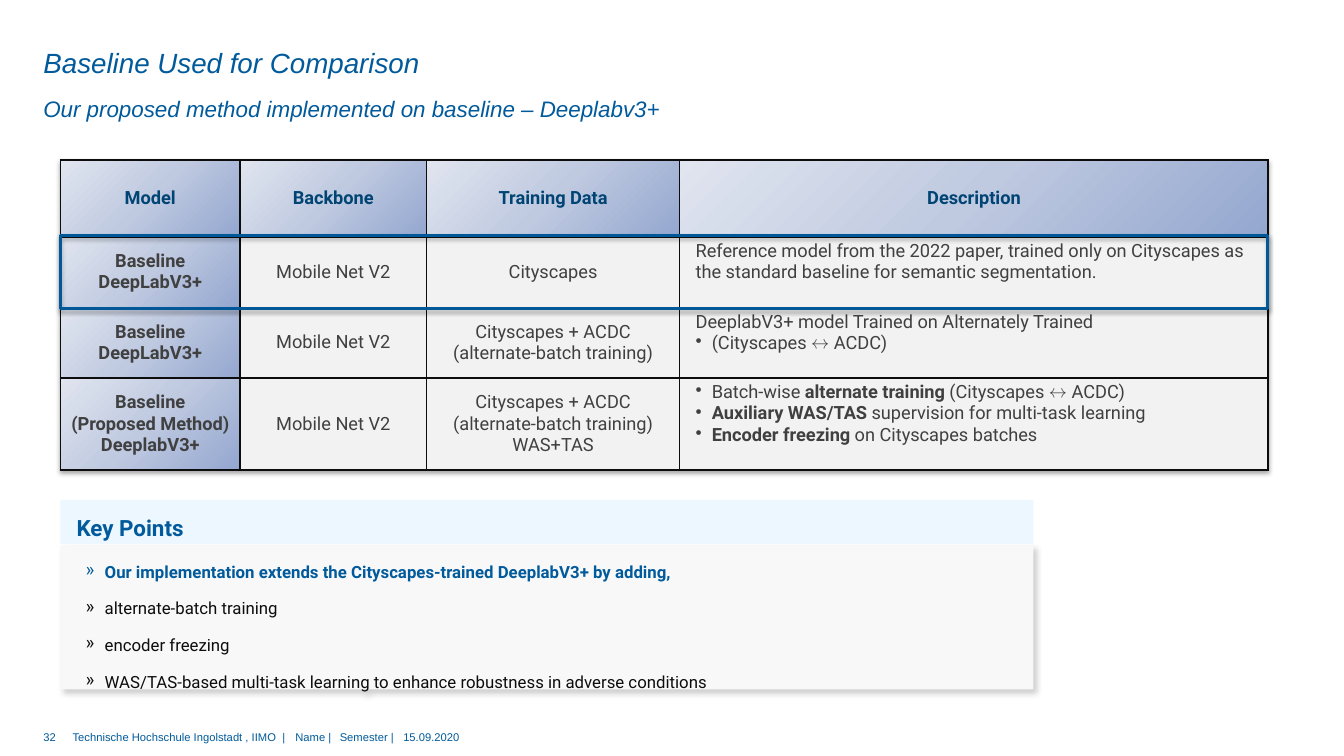
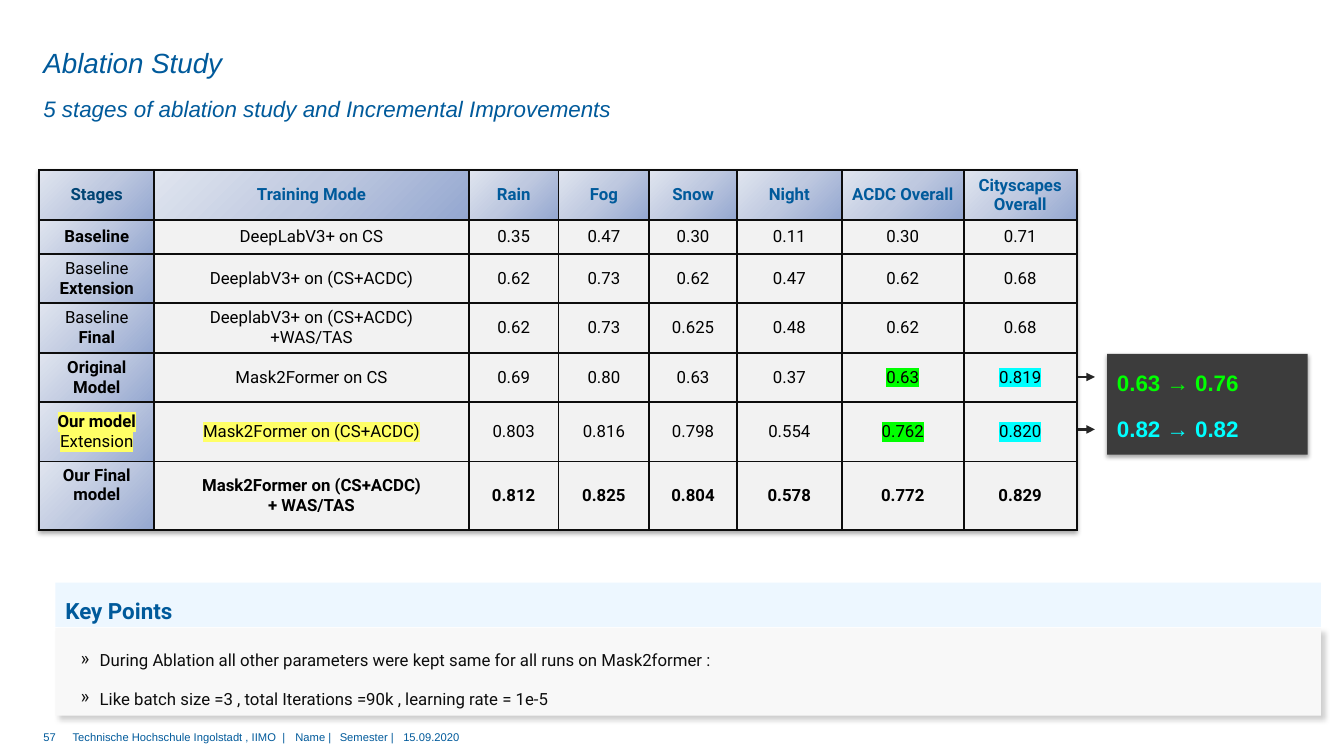
from lxml import etree
from pptx import Presentation
from pptx.dml.color import RGBColor
from pptx.enum import shapes, text
from pptx.oxml.ns import qn
from pptx.util import Inches, Pt

BLUE, NAVY, INK, GREY = "005A9B", "004474", "0D0D0D", "404040"
PANEL, BAND, CELL = "F8F8F8", "EDF7FF", "F2F2F2"
GREEN, CYAN, YELLOW = "00FF00", "00FFFF", "FFFF66"
GRADIENT = ((0, "94A7D0"), (50, "BFC9E0"), (100, "E0E5EF"))
SOFT = (35, 3.1, 1.8, 90)
DIAGONAL = (18, 4, 3, 45)
LEFT, CENTER = text.PP_ALIGN.LEFT, text.PP_ALIGN.CENTER
TOP, MIDDLE = text.MSO_ANCHOR.TOP, text.MSO_ANCHOR.MIDDLE


def rgb(value):
    return RGBColor.from_string(value)


def sub(parent, tag, **attrs):
    return etree.SubElement(parent, qn(tag), {k: str(v) for k, v in attrs.items()})


def color_xml(parent, color):
    return sub(parent, "a:srgbClr", val=color)


def add_shadow(effects, alpha, blur, dist, angle):
    outer = sub(effects, "a:outerShdw", blurRad=Pt(blur), dist=Pt(dist),
                dir=angle * 60000, algn="ctr", rotWithShape=0)
    sub(color_xml(outer, "000000"), "a:alpha", val=alpha * 1000)


def set_bullet(p, char, indent):
    pPr = p._p.get_or_add_pPr()
    left, hang = indent
    pPr.set("marL", str(Inches(left)))
    pPr.set("indent", str(-Inches(hang)))
    sub(pPr, "a:buChar", char=char)


def write(tf, lines, size, color, font="Roboto", bold=False, italic=False,
          align=LEFT, spacing=None, after=None, indent=(0.16, 0.16), tabs=()):
    for i, line in enumerate(lines):
        p = tf.add_paragraph() if i else tf.paragraphs[0]
        if line[0] in "•»":
            set_bullet(p, line[0], indent)
            line = line[1:]
        if tabs:
            stops = sub(p._p.get_or_add_pPr(), "a:tabLst")
            for pos in tabs:
                sub(stops, "a:tab", pos=Inches(pos), algn="l")
        p.alignment = align
        p.line_spacing = spacing
        if after:
            p.space_after = Pt(after)
        f = p.font
        f.name, f.size, f.bold, f.italic = font, Pt(size), bold, italic
        f.color.rgb = rgb(color)
        for j, part in enumerate(line.split("**")):
            if part:
                r = p.add_run()
                r.text = part
                if j % 2:
                    r.font.bold = True


def set_frame(tf, margins=(0, 0, 0, 0), anchor=TOP):
    tf.word_wrap = True
    tf.vertical_anchor = anchor
    tf.margin_left, tf.margin_top, tf.margin_right, tf.margin_bottom = map(Inches, margins)


def textbox(s, x, y, w, h, lines, size, color, margins=(0, 0, 0, 0), **style):
    tf = s.shapes.add_textbox(*map(Inches, (x, y, w, h))).text_frame
    set_frame(tf, margins)
    write(tf, lines, size, color, **style)


def rect(s, x, y, w, h, fill=None, line=None, shadow=None):
    sp = s.shapes.add_shape(shapes.MSO_SHAPE.RECTANGLE, *map(Inches, (x, y, w, h)))
    sp.shadow.inherit = False
    if fill:
        sp.fill.solid()
        sp.fill.fore_color.rgb = rgb(fill)
    else:
        sp.fill.background()
    if line:
        sp.line.color.rgb = rgb(line)
        sp.line.width = Pt(2.25)
    else:
        sp.line.fill.background()
    if shadow:
        add_shadow(sp._element.spPr.find(qn("a:effectLst")), *shadow)
    return sp


def arrow(s, x1, x2, y):
    c = s.shapes.add_connector(shapes.MSO_CONNECTOR.STRAIGHT, *map(Inches, (x1, y, x2, y)))
    c.line.color.rgb = rgb("262626")
    c.line.width = Pt(2)
    sub(c.line._get_or_add_ln(), "a:tailEnd", type="triangle")
    sub(c._element.spPr, "a:effectLst")


def style_cell(cell, shaded):
    tcPr = cell._tc.get_or_add_tcPr()
    for side in "LRTB":
        ln = sub(tcPr, "a:ln" + side, w=Pt(1.5))
        color_xml(sub(ln, "a:solidFill"), INK)
    if shaded:
        grad = sub(tcPr, "a:gradFill", rotWithShape=1)
        stops = sub(grad, "a:gsLst")
        for pos, color in GRADIENT:
            color_xml(sub(stops, "a:gs", pos=pos * 1000), color)
        sub(grad, "a:lin", ang=225 * 60000, scaled=0)
    else:
        cell.fill.solid()
        cell.fill.fore_color.rgb = rgb(CELL)


def table(s, x, y, cols, heights, rows, size, head, body, margin, prose=None):
    frame = s.shapes.add_table(len(rows), len(cols), Inches(x), Inches(y),
                               Inches(sum(cols)), Inches(sum(heights)))
    t = frame.table
    t.first_row = t.horz_banding = False
    effects = etree.Element(qn("a:effectLst"))
    add_shadow(effects, *SOFT)
    t._tbl.tblPr.insert(0, effects)
    for col, w in zip(t.columns, cols):
        col.width = Inches(w)
    for i, (values, h) in enumerate(zip(rows, heights)):
        t.rows[i].height = Inches(h)
        for j, value in enumerate(values):
            cell = t.cell(i, j)
            is_prose = i > 0 and j == prose
            style_cell(cell, i == 0 or j == 0)
            cell.margin_left = Inches(0.16 if is_prose else margin)
            cell.margin_right = Inches(margin)
            cell.margin_top = cell.margin_bottom = Inches(0.04)
            cell.vertical_anchor = TOP if is_prose else MIDDLE
            write(cell.text_frame, value.split("\n"), size, body if i else head,
                  bold=i == 0, align=LEFT if is_prose else CENTER)
    return t


def highlight(cell, color):
    for p in cell.text_frame.paragraphs:
        for r in p.runs:
            color_xml(sub(r._r.get_or_add_rPr(), "a:highlight"), color)


def key_points(s, x, y, w, h, lines, spacing, inset, title_inset=0.1):
    body = rect(s, x, y + 0.45, w, h, PANEL, shadow=DIAGONAL).text_frame
    set_frame(body, (0.1, inset, 0.1, 0))
    write(body, lines, 12, INK, spacing=spacing, after=6, indent=(0.34, 0.19))
    band = rect(s, x, y, w, 0.44, BAND).text_frame
    set_frame(band, (title_inset, 0.05, 0.1, 0.05), MIDDLE)
    write(band, ["Key Points"], 16, BLUE, bold=True, spacing=1.4, after=6)
    return body


def new_slide(prs, title, subtitle, number):
    s = prs.slides.add_slide(prs.slide_layouts[5])
    sp = s.shapes.title
    sp.left, sp.top, sp.width, sp.height = map(Inches, (0.43, 0.44, 10.67, 0.36))
    set_frame(sp.text_frame, anchor=MIDDLE)
    write(sp.text_frame, [title], 19.8, BLUE, "Arial", italic=True)
    textbox(s, 0.43, 0.81, 10.67, 0.37, [subtitle], 16, BLUE,
            font="Arial", italic=True, spacing=1.5)
    textbox(s, 0.43, 7.25, 0.28, 0.23, [number], 8, BLUE, font="Arial")
    footer = "Technische Hochschule Ingolstadt , IIMO\t|\tName |\tSemester |\t15.09.2020"
    textbox(s, 0.72, 7.25, 8.96, 0.23, [footer], 8, BLUE, font="Arial",
            tabs=(2.08, 2.21, 2.65, 3.28))
    return s


def baseline_slide(prs):
    s = new_slide(prs, "Baseline Used for Comparison",
                  "Our proposed method implemented on baseline – Deeplabv3+", "32")
    mixed = "Cityscapes + ACDC\n(alternate-batch training)"
    rows = [
        ("Model", "Backbone", "Training Data", "Description"),
        ("**Baseline**\n**DeepLabV3+**", "Mobile Net V2", "Cityscapes",
         "Reference model from the 2022 paper, trained only on Cityscapes as "
         "the standard baseline for semantic segmentation."),
        ("**Baseline**\n**DeepLabV3+**", "Mobile Net V2", mixed,
         "DeeplabV3+ model Trained on Alternately Trained\n•(Cityscapes ↔ ACDC)"),
        ("**Baseline**\n**(Proposed Method)**\n**DeeplabV3+**", "Mobile Net V2",
         mixed + "\nWAS+TAS",
         "•Batch-wise **alternate training** (Cityscapes ↔ ACDC)\n"
         "•**Auxiliary WAS/TAS** supervision for multi-task learning\n"
         "•**Encoder freezing** on Cityscapes batches"),
    ]
    table(s, 0.6, 1.59, (1.78, 1.85, 2.51, 5.84), (0.76, 0.7, 0.7, 0.91), rows,
          13, NAVY, GREY, 0.07, prose=3)
    body = key_points(s, 0.6, 4.96, 9.65, 1.43, [
        "»Our implementation extends the Cityscapes-trained DeeplabV3+ by adding,",
        "»alternate-batch training",
        "»encoder freezing",
        "»WAS/TAS-based multi-task learning to enhance robustness in adverse conditions",
    ], 1.4, 0.08, 0.16)
    lead = body.paragraphs[0].font
    lead.bold = True
    lead.color.rgb = rgb(BLUE)
    rect(s, 0.6, 2.34, 11.97, 0.72, line="005898", shadow=SOFT)


def ablation_slide(prs):
    s = new_slide(prs, "Ablation Study",
                  "5 stages of ablation study and Incremental Improvements", "57")
    for y in (3.74, 4.26):
        arrow(s, 10.4, 10.86, y)
    key_points(s, 0.55, 5.78, 12.55, 0.87, [
        "»During Ablation all other parameters were kept same for all runs on Mask2former :",
        "»Like batch size =3 , total Iterations =90k , learning rate = 1e-5",
    ], 1.5, 0.12)
    final = ("Our Final\nmodel", "Mask2Former on (CS+ACDC)\n+ WAS/TAS",
             "0.812", "0.825", "0.804", "0.578", "0.772", "0.829")
    rows = [
        ("Stages", "Training Mode", "Rain", "Fog", "Snow", "Night",
         "ACDC Overall", "Cityscapes Overall"),
        ("**Baseline**", "DeepLabV3+ on CS",
         "0.35", "0.47", "0.30", "0.11", "0.30", "0.71"),
        ("Baseline\n**Extension**", "DeeplabV3+ on (CS+ACDC)",
         "0.62", "0.73", "0.62", "0.47", "0.62", "0.68"),
        ("Baseline\n**Final**", "DeeplabV3+ on (CS+ACDC)\n+WAS/TAS",
         "0.62", "0.73", "0.625", "0.48", "0.62", "0.68"),
        ("**Original Model**", "Mask2Former on CS",
         "0.69", "0.80", "0.63", "0.37", "0.63", "0.819"),
        ("**Our model**\nExtension", "Mask2Former on (CS+ACDC)",
         "0.803", "0.816", "0.798", "0.554", "0.762", "0.820"),
        final,
    ]
    t = table(s, 0.39, 1.69, (1.14, 3.12, 0.89, 0.9, 0.87, 1.04, 1.21, 1.12),
              (0.49, 0.34, 0.49, 0.49, 0.49, 0.59, 0.68), rows, 12, BLUE, "000000", 0.09)
    t.cell(0, 0).text_frame.paragraphs[0].font.color.rgb = rgb(NAVY)
    for j in range(len(final)):
        for p in t.cell(6, j).text_frame.paragraphs:
            p.font.bold = True
    t.cell(6, 0).vertical_anchor = TOP
    for i, j, color in ((4, 6, GREEN), (4, 7, CYAN), (5, 0, YELLOW),
                        (5, 1, YELLOW), (5, 6, GREEN), (5, 7, CYAN)):
        highlight(t.cell(i, j), color)
    rect(s, 10.98, 3.51, 1.99, 1, "3C3C3C", shadow=SOFT)
    for y, gain, color in ((3.61, "0.63 → 0.76", GREEN), (4.07, "0.82 → 0.82", CYAN)):
        textbox(s, 10.98, y, 1.6, 0.37, [gain], 16, color, (0.1, 0.05, 0.1, 0.05),
                font="Arial", bold=True)


def main():
    prs = Presentation()
    prs.slide_width, prs.slide_height = Inches(13.33), Inches(7.5)
    baseline_slide(prs)
    ablation_slide(prs)
    prs.save("out.pptx")


if __name__ == "__main__":
    main()
